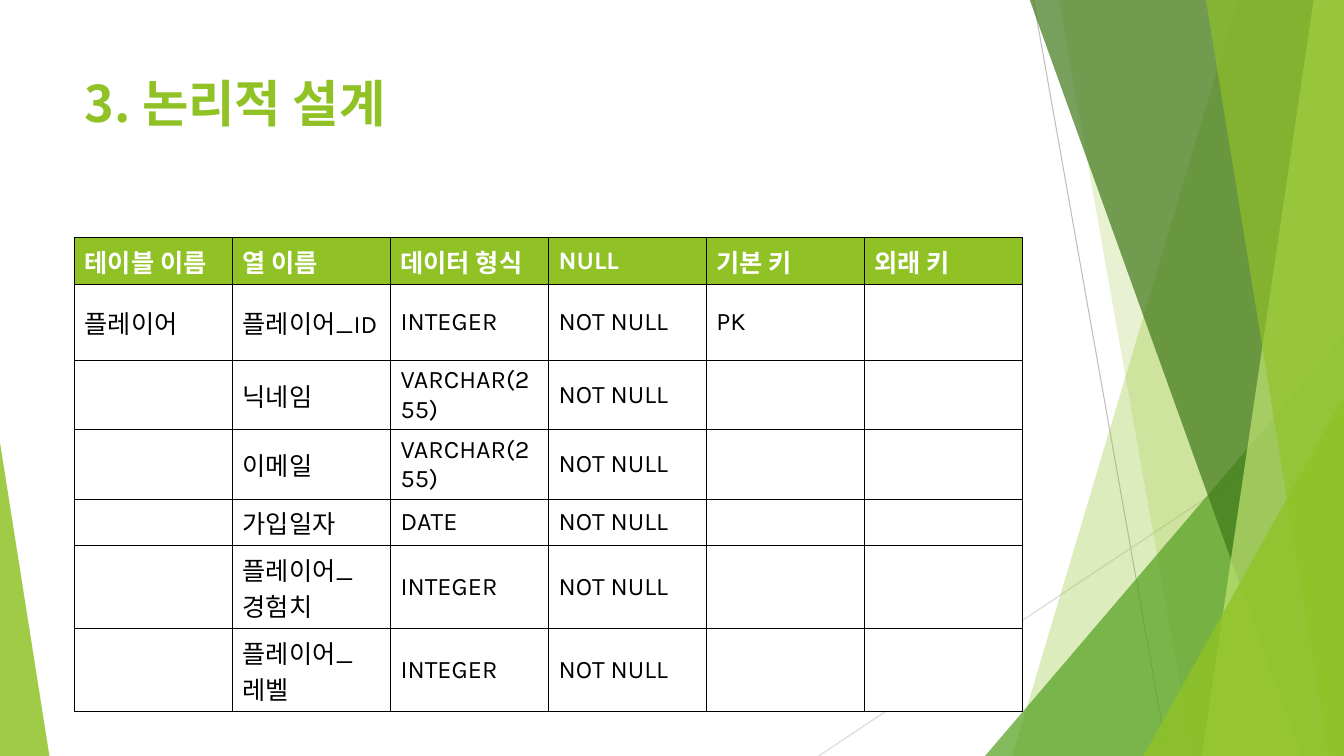
from dataclasses import dataclass

import lxml.etree
import pptx
import pptx.dml.color
import pptx.enum.shapes
import pptx.enum.text
import pptx.oxml.ns
import pptx.util

Inches = pptx.util.Inches
Pt = pptx.util.Pt
RGBColor = pptx.dml.color.RGBColor
qn = pptx.oxml.ns.qn

WHITE = RGBColor(0xFF, 0xFF, 0xFF)
BLACK = RGBColor(0, 0, 0)
LIME = RGBColor(0x90, 0xC2, 0x26)
GREEN = RGBColor(0x54, 0xA0, 0x21)
DARK_GREEN = RGBColor(0x3F, 0x78, 0x19)
PALE_LIME = RGBColor(0xC0, 0xE4, 0x74)
GRAY = RGBColor(0xBF, 0xBF, 0xBF)
LIGHT_GRAY = RGBColor(0xD9, 0xD9, 0xD9)

LATIN_FONT = "Karla"
KOREAN_FONT = "Noto Sans CJK KR"
WIDTH, HEIGHT = 13.33, 7.5
TOP = -0.01


@dataclass
class Ray:
    start: tuple[float, float]
    end: tuple[float, float]
    color: RGBColor


@dataclass
class Facet:
    points: list[tuple[float, float]]
    color: RGBColor
    opacity: int


def band(top_left: float, bottom_left: float) -> list[tuple[float, float]]:
    """Outline from a slanted left edge to the right edge of the slide."""
    return [(top_left, TOP), (WIDTH, TOP), (WIDTH, HEIGHT), (bottom_left, HEIGHT)]


def corner(left: float, top: float) -> list[tuple[float, float]]:
    """Right triangle in the bottom right corner of the slide."""
    return [(WIDTH, top), (WIDTH, HEIGHT), (left, HEIGHT)]


RAYS = [
    Ray((10.25, 0), (11.58, HEIGHT), GRAY),
    Ray((WIDTH, 4.03), (8.12, HEIGHT), LIGHT_GRAY),
]
FACETS = [
    Facet(band(12.28, 10.04), LIME, 30),
    Facet(band(10.5, 11.83), LIME, 20),
    Facet(corner(9.77, 3.33), GREEN, 72),
    Facet(band(10.21, 12.91), DARK_GREEN, 70),
    Facet(band(13.03, 11.92), PALE_LIME, 70),
    Facet(band(11.96, 13.18), LIME, 65),
    Facet(corner(11.34, 3.93), LIME, 80),
    Facet([(0, 4.39), (0.49, HEIGHT), (0, HEIGHT)], LIME, 85),
]

HEADER = ["테이블 이름", "열 이름", "데이터 형식", "NULL", "기본 키", "외래 키"]
ROWS = [
    ["플레이어", "플레이어_ID", "INTEGER", "NOT NULL", "PK", ""],
    ["", "닉네임", "VARCHAR(255)", "NOT NULL", "", ""],
    ["", "이메일", "VARCHAR(255)", "NOT NULL", "", ""],
    ["", "가입일자", "DATE", "NOT NULL", "", ""],
    ["", "플레이어_경험치", "INTEGER", "NOT NULL", "", ""],
    ["", "플레이어_레벨", "INTEGER", "NOT NULL", "", ""],
]


def write_text(text_frame, text: str, *, size: float, color: RGBColor,
               bold: bool = False, font: str = LATIN_FONT) -> None:
    paragraph = text_frame.paragraphs[0]
    if not text:
        paragraph.font.size = Pt(size)
        return
    run = paragraph.add_run()
    run.text = text
    run.font.name = font
    run.font.size = Pt(size)
    run.font.bold = bold
    run.font.color.rgb = color
    east_asian = lxml.etree.Element(qn("a:ea"), typeface=KOREAN_FONT)
    run.font._element.find(qn("a:latin")).addnext(east_asian)


def draw_ray(slide, ray: Ray) -> None:
    connector = slide.shapes.add_connector(
        pptx.enum.shapes.MSO_CONNECTOR.STRAIGHT,
        *map(Inches, ray.start + ray.end))
    connector.line.color.rgb = ray.color
    connector.line.width = Pt(0.75)
    lxml.etree.SubElement(connector._element.spPr, qn("a:effectLst"))


def draw_facet(slide, facet: Facet) -> None:
    points = [(Inches(x), Inches(y)) for x, y in facet.points]
    builder = slide.shapes.build_freeform(*points[0])
    builder.add_line_segments(points[1:], close=True)
    shape = builder.convert_to_shape()
    shape.shadow.inherit = False
    shape.line.fill.background()
    shape.fill.solid()
    shape.fill.fore_color.rgb = facet.color
    color = shape._element.spPr.find(".//" + qn("a:srgbClr"))
    lxml.etree.SubElement(color, qn("a:alpha"), val=str(facet.opacity * 1000))


def draw_borders(cell, color: RGBColor, width: float) -> None:
    properties = cell._tc.get_or_add_tcPr()
    for index, side in enumerate(("a:lnL", "a:lnR", "a:lnT", "a:lnB")):
        line = lxml.etree.Element(qn(side), w=str(Pt(width)))
        fill = lxml.etree.SubElement(line, qn("a:solidFill"))
        lxml.etree.SubElement(fill, qn("a:srgbClr"), val=str(color))
        properties.insert(index, line)


def draw_table(slide) -> None:
    contents = [HEADER] + ROWS
    table = slide.shapes.add_table(
        len(contents), len(HEADER),
        Inches(0.74), Inches(2.36), Inches(9.4), Inches(2.87)).table
    for row in table.rows:
        row.height = Inches(0.41)
    for row_index, texts in enumerate(contents):
        is_header = row_index == 0
        for column_index, text in enumerate(texts):
            cell = table.cell(row_index, column_index)
            cell.vertical_anchor = pptx.enum.text.MSO_ANCHOR.MIDDLE
            cell.fill.solid()
            cell.fill.fore_color.rgb = LIME if is_header else WHITE
            draw_borders(cell, BLACK, 1)
            write_text(cell.text_frame, text, size=18, bold=is_header,
                       color=WHITE if is_header else BLACK)


def draw_title(slide) -> None:
    title = slide.shapes.add_textbox(
        Inches(0.74), Inches(0.67), Inches(9.4), Inches(1.44))
    title.text_frame.word_wrap = True
    write_text(title.text_frame, "3. 논리적 설계", size=36, color=LIME,
               bold=True, font=KOREAN_FONT)


def main() -> None:
    presentation = pptx.Presentation()
    presentation.slide_width = Inches(WIDTH)
    presentation.slide_height = Inches(HEIGHT)
    slide = presentation.slides.add_slide(presentation.slide_layouts[6])

    # Background decoration
    for ray in RAYS:
        draw_ray(slide, ray)
    for facet in FACETS:
        draw_facet(slide, facet)

    # Content
    draw_table(slide)
    draw_title(slide)
    presentation.save("out.pptx")


if __name__ == "__main__":
    main()
